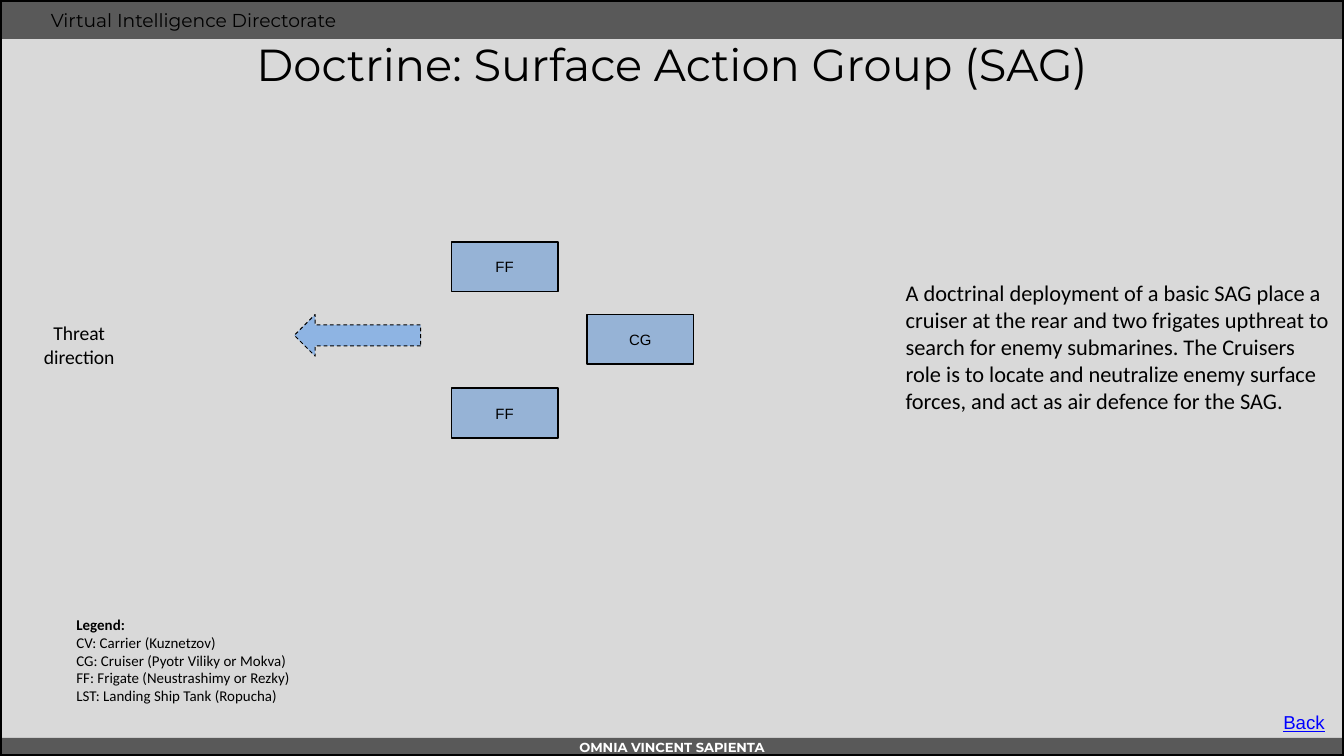
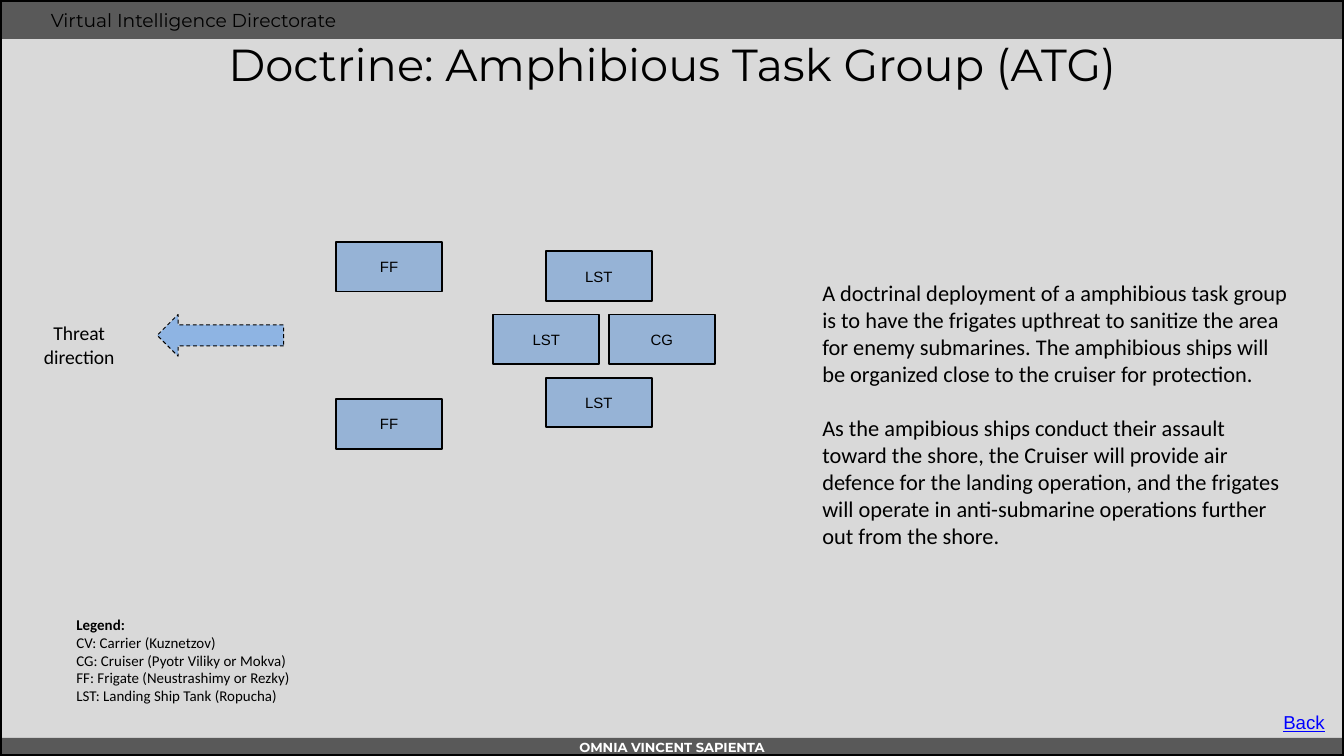
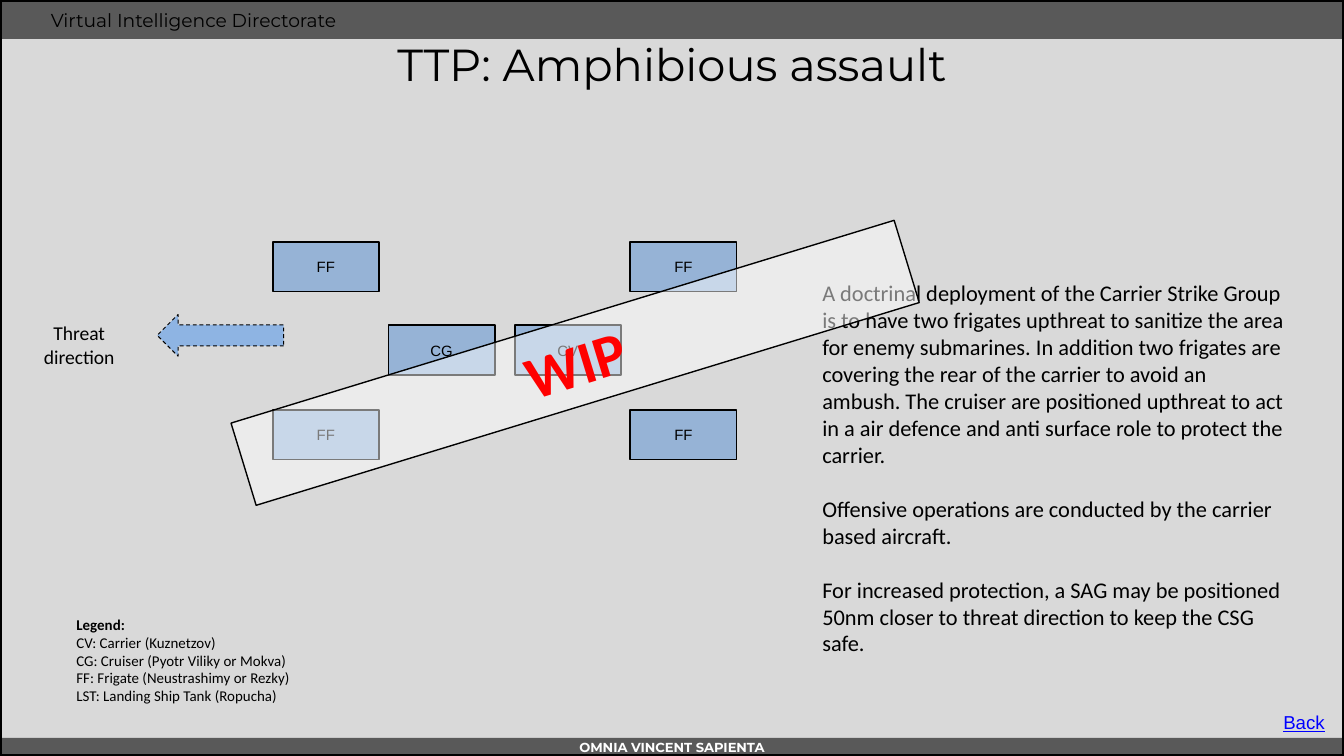
"""Build three naval doctrine slides with a shared frame, formation diagrams and legend."""
from lxml import etree
from pptx import Presentation
from pptx.dml.color import RGBColor
from pptx.enum.dml import MSO_LINE
from pptx.enum.shapes import MSO_SHAPE
from pptx.enum.text import MSO_ANCHOR, MSO_AUTO_SIZE, PP_ALIGN
from pptx.oxml.ns import qn
from pptx.util import Inches, Pt

RECT, ARROW = MSO_SHAPE.RECTANGLE, MSO_SHAPE.RIGHT_ARROW
LEFT, MID = PP_ALIGN.LEFT, PP_ALIGN.CENTER
TOP, CENTER = MSO_ANCHOR.TOP, MSO_ANCHOR.MIDDLE
FIXED = MSO_AUTO_SIZE.NONE
DASH = MSO_LINE.DASH


class Theme:
    back, band, ship, arrow = "D9D9D9", "595959", "558ED5", "8EB4E3"
    black, white, red, blue = "000000", "FFFFFF", "FF0000", "0000FF"
    head, body, mark = "Montserrat", "Calibri", "Arial"
    title, brand, motto = 24, 10, 7
    text, threat, small, link, stamp = 12, 10.5, 8, 10, 32
    gap = 14.6


def draw(shapes, kind, at, fill=None, line=None, alpha=None):
    """Add a flat shape; line is a width in points, alpha a percentage."""
    shape = shapes.add_shape(kind, *map(Inches, at))
    shape.shadow.inherit = False
    if fill:
        shape.fill.solid()
        shape.fill.fore_color.rgb = RGBColor.from_string(fill)
    else:
        shape.fill.background()
    if alpha:
        tint = shape.element.spPr.find(".//" + qn("a:srgbClr"))
        etree.SubElement(tint, qn("a:alpha")).set("val", str(alpha * 1000))
    if line:
        shape.line.width = Pt(line)
        shape.line.color.rgb = RGBColor.from_string(Theme.black)
    else:
        shape.line.fill.background()
    return shape


def write(shape, lines, size, face, color=Theme.black, align=LEFT,
          anchor=TOP, inset=None, bold=False, gap=0):
    """Fill a shape with paragraphs in one style."""
    frame = shape.text_frame
    frame.text = "\n".join(lines)
    frame.word_wrap, frame.auto_size = True, FIXED
    frame.vertical_anchor = anchor
    if inset is not None:
        frame.margin_left = frame.margin_right = Inches(inset)
        frame.margin_top = frame.margin_bottom = Inches(inset)
    for i, para in enumerate(frame.paragraphs):
        para.alignment = align
        para.space_before = Pt(gap if i else 0)
        font = para.font
        font.name, font.size, font.bold = face, Pt(size), bold
        font.color.rgb = RGBColor.from_string(color)
    return frame


WIDE = 10
HIGH = WIDE * 9 / 16
SHIP = (0.79, 0.37)
LEGEND = [
    "Legend:",
    "CV: Carrier (Kuznetzov)",
    "CG: Cruiser (Pyotr Viliky or Mokva)",
    "FF: Frigate (Neustrashimy or Rezky)",
    "LST: Landing Ship Tank (Ropucha)",
]
PAGES = [
    {
        "title": "Doctrine: Surface Action Group (SAG)",
        "arrow": 2.19,
        "ships": [("CG", 4.37, 2.34), ("FF", 3.36, 2.89), ("FF", 3.36, 1.8)],
        "at": (6.64, 2.03, 3.36, 1.51),
        "text": [
            "A doctrinal deployment of a basic SAG place a cruiser at the rear and "
            "two frigates upthreat to search for enemy submarines. The Cruisers role "
            "is to locate and neutralize enemy surface forces, and act as air defence "
            "for the SAG.",
        ],
    },
    {
        "title": "Doctrine: Amphibious Task Group (ATG)",
        "arrow": 1.17,
        "ships": [("CG", 4.53, 2.34), ("FF", 2.5, 2.97), ("FF", 2.5, 1.8),
                  ("LST", 4.06, 2.81), ("LST", 3.67, 2.34), ("LST", 4.06, 1.87)],
        "at": (6.02, 2.03, 3.67, 2.12),
        "text": [
            "A doctrinal deployment of a amphibious task group is to have the frigates "
            "upthreat to sanitize the area for enemy submarines. The amphibious ships "
            "will be organized close to the cruiser for protection.",
            "As the ampibious ships conduct their assault toward the shore, the Cruiser "
            "will provide air defence for the landing operation, and the frigates will "
            "operate in anti-submarine operations further out from the shore.",
        ],
    },
    {
        "title": "TTP: Amphibious assault",
        "arrow": 1.17,
        "ships": [("CV", 3.83, 2.42), ("FF", 2.03, 3.05), ("FF", 2.03, 1.8),
                  ("FF", 4.69, 3.05), ("CG", 2.89, 2.42), ("FF", 4.69, 1.8)],
        "at": (6.02, 2.03, 3.67, 2.93),
        "text": [
            "A doctrinal deployment of the Carrier Strike Group is to have two frigates "
            "upthreat to sanitize the area for enemy submarines. In addition two "
            "frigates are covering the rear of the carrier to avoid an ambush. The "
            "cruiser are positioned upthreat to act in a air defence and anti surface "
            "role to protect the carrier.",
            "Offensive operations are conducted by the carrier based aircraft.",
            "For increased protection, a SAG may be positioned 50nm closer to threat "
            "direction to keep the CSG safe.",
        ],
    },
]

prs = Presentation()
prs.slide_width, prs.slide_height = Inches(WIDE), Inches(HIGH)
master = prs.slide_master
master.background.fill.solid()
master.background.fill.fore_color.rgb = RGBColor.from_string(Theme.back)
slides = [prs.slides.add_slide(prs.slide_layouts[5]) for _ in PAGES]

shapes = slides[0].shapes
top = draw(shapes, RECT, (0, 0, WIDE, 0.29), Theme.band)
base = draw(shapes, RECT, (0, 5.49, WIDE, 0.14), Theme.band)
brand = shapes.add_textbox(*map(Inches, (0.28, 0.02, 6.86, 0.27)))
write(brand, ["Virtual Intelligence Directorate"], Theme.brand, Theme.head)
motto = shapes.add_textbox(*map(Inches, (0, 5.5, WIDE, 0.12)))
write(motto, ["OMNIA VINCENT SAPIENTA"], Theme.motto, Theme.head, Theme.white,
      MID, inset=0, bold=True)
edge = draw(shapes, RECT, (0, 0, WIDE, HIGH), line=2)
for num, part in enumerate((top, base, brand, motto, edge), 20):
    part.element.xpath(".//p:cNvPr")[0].set("id", str(num))
    master.shapes.element.append(part.element)

for slide, page in zip(slides, PAGES):
    shapes = slide.shapes
    title = shapes.title
    title.left, title.top, title.width, title.height = map(Inches, (0, 0.32, WIDE, 0.31))
    write(title, [page["title"]], Theme.title, Theme.head, align=MID, anchor=CENTER)

    for name, x, y in page["ships"]:
        ship = draw(shapes, RECT, (x, y, *SHIP), Theme.ship, 1, 50)
        write(ship, [name], Theme.small, Theme.mark, align=MID, anchor=CENTER, inset=0.01)

    arrow = draw(shapes, ARROW, (page["arrow"], 2.34, 0.94, 0.31), Theme.arrow, 0.5)
    arrow.rotation = 180
    arrow.line.dash_style = DASH
    threat = shapes.add_textbox(*map(Inches, (0.16, 2.34, 0.86, 0.47)))
    write(threat, ["Threat direction"], Theme.threat, Theme.body, align=MID)

    notes = shapes.add_textbox(*map(Inches, page["at"]))
    write(notes, page["text"], Theme.text, Theme.body, gap=Theme.gap)
    legend = shapes.add_textbox(*map(Inches, (0.47, 4.53, 2.34, 0.77)))
    key = write(legend, LEGEND, Theme.small, Theme.body)
    key.paragraphs[0].font.bold = True

    back = shapes.add_textbox(*map(Inches, (9.45, 5.24, 0.51, 0.27)))
    label = write(back, ["Back"], Theme.link, Theme.mark, Theme.blue)
    label.word_wrap = False
    label.paragraphs[0].font.underline = True

stamp = draw(slides[-1].shapes, RECT, (1.7, 2.38, 5.16, 0.64), Theme.white, 0.75, 48)
stamp.rotation = 343
write(stamp, ["WIP"], Theme.stamp, Theme.body, Theme.red, MID, bold=True)

prs.save("out.pptx")
